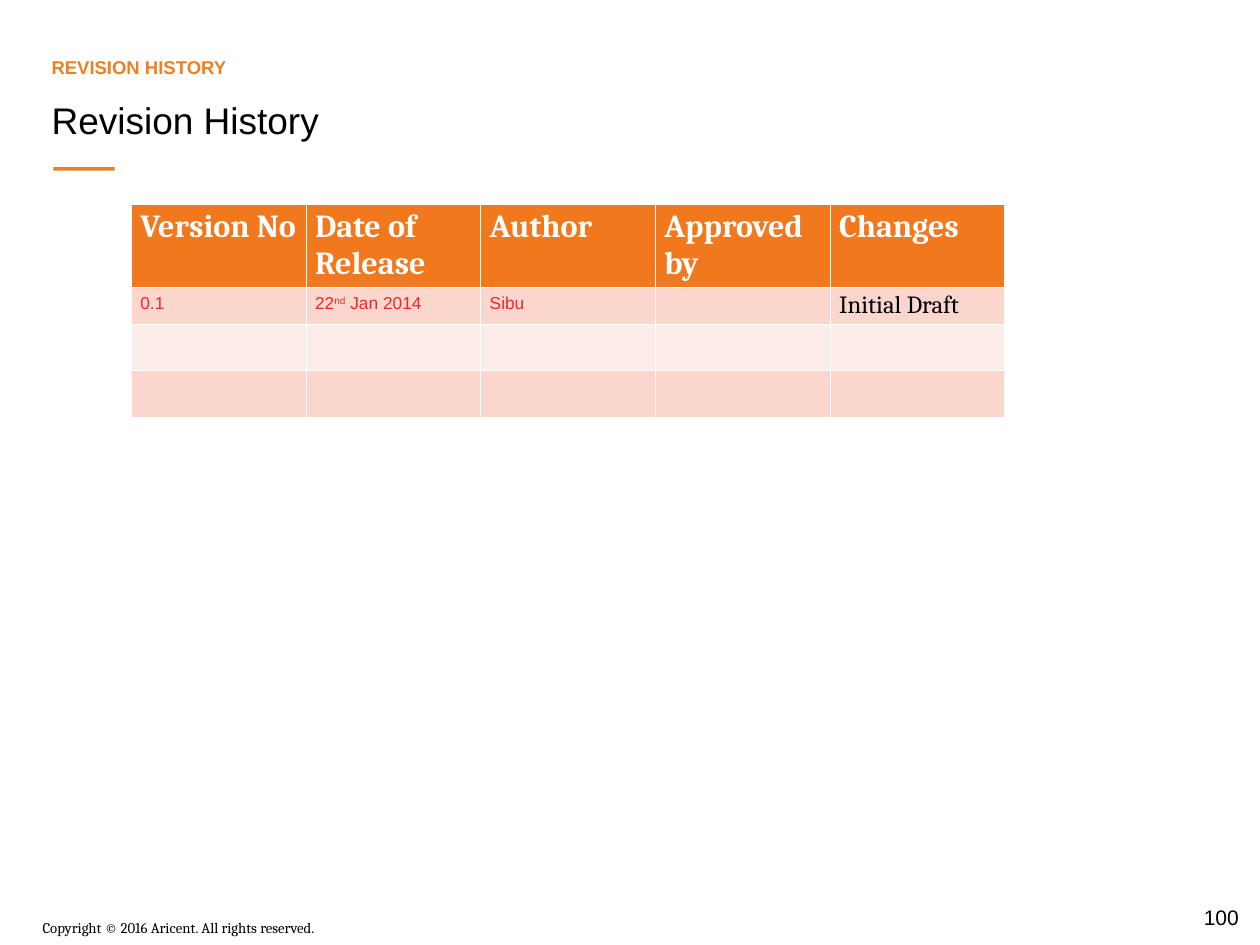
from pptx import Presentation
from pptx.dml.color import RGBColor
from pptx.enum.shapes import MSO_SHAPE
from pptx.enum.text import MSO_ANCHOR, MSO_AUTO_SIZE, PP_ALIGN
from pptx.oxml.ns import qn
from pptx.util import Inches, Pt

ORANGE = "EB8024"
HEADERS = ["Version No", "Date of Release", "Author", "Approved by", "Changes"]
ENTRY = ["0.1", "22^nd^ Jan 2014", "Sibu", "", "Initial Draft"]
ROW_HEIGHTS = [0.92, 0.41, 0.52, 0.52]
ROW_FILLS = ["F1781C", "FAD6CD", "FCECE8", "FAD6CD"]


def color(value):
    """Turn a hex string into a colour."""
    return RGBColor.from_string(value)


def write(frame, text, size, font="Arial", fill="000000", bold=False,
          align=PP_ALIGN.LEFT, line=1.0, after=0, plain=False):
    """Write one formatted paragraph; carets enclose superscript."""
    para = frame.paragraphs[0]
    if plain:
        properties = para._p.get_or_add_pPr()
        properties.set("marL", "0")
        properties.set("indent", "0")
        properties.append(properties.makeelement(qn("a:buNone"), {}))
    para.alignment = align
    para.line_spacing = line
    para.space_before = Pt(0)
    para.space_after = Pt(after)
    for position, part in enumerate(text.split("^")):
        span = para.add_run()
        span.text = part
        span.font.size = Pt(size)
        span.font.name = font
        span.font.bold = bold
        span.font.color.rgb = color(fill)
        if position % 2:
            span._r.get_or_add_rPr().set("baseline", "30000")


def place(holder, left, top, width, height, anchor, inset=0.05):
    """Move a placeholder and set up its text frame."""
    holder.left, holder.top = Inches(left), Inches(top)
    holder.width, holder.height = Inches(width), Inches(height)
    frame = holder.text_frame
    frame.word_wrap = True
    frame.auto_size = MSO_AUTO_SIZE.NONE
    frame.vertical_anchor = anchor
    frame.margin_top = Inches(inset)
    return frame


def add_heading(page, left, top, width):
    """Fill the kicker and title and draw the accent bar below them."""
    title, kicker = page.placeholders
    frame = place(kicker, left, top, width, 0.62, MSO_ANCHOR.BOTTOM)
    write(frame, "REVISION HISTORY", 15, fill=ORANGE, bold=True, plain=True)
    frame = place(title, left, top + 0.69, width, 0.85, MSO_ANCHOR.TOP, 0.1)
    write(frame, "Revision History", 30)
    bar = page.shapes.add_shape(MSO_SHAPE.RECTANGLE, Inches(left + 0.12),
                                Inches(top + 1.57), Inches(0.69), Inches(0.04))
    bar.shadow.inherit = False
    bar.fill.solid()
    bar.fill.fore_color.rgb = color(ORANGE)
    bar.line.fill.background()


def add_history(page, left, top, width):
    """Build the revision table."""
    table = page.shapes.add_table(
        len(ROW_HEIGHTS), len(HEADERS), Inches(left), Inches(top),
        Inches(width), Inches(sum(ROW_HEIGHTS))).table
    for row, height, fill in zip(table.rows, ROW_HEIGHTS, ROW_FILLS):
        row.height = Inches(height)
        for cell in row.cells:
            cell.fill.solid()
            cell.fill.fore_color.rgb = color(fill)
    for column, (header, entry) in enumerate(zip(HEADERS, ENTRY)):
        write(table.cell(0, column).text_frame, header, 26, "Cambria",
              "FFFFFF", bold=True)
        frame = table.cell(1, column).text_frame
        if header == "Changes":
            write(frame, entry, 20, "Cambria")
        elif entry:
            write(frame, entry, 14, fill="F1262C", line=1.1, after=8)


def add_label(page, text, left, top, width, height, **style):
    """Add a text box holding one line."""
    box = page.shapes.add_textbox(Inches(left), Inches(top),
                                  Inches(width), Inches(height))
    box.text_frame.word_wrap = True
    box.text_frame.vertical_anchor = MSO_ANCHOR.MIDDLE
    write(box.text_frame, text, **style)


def add_footer(page, left, top, width):
    """Add the copyright line and the page number."""
    add_label(page, "Copyright © 2016 Aricent. All rights reserved.",
              left, top + 0.16, 7.09, 0.3, size=12, font="Cambria")
    add_label(page, "100", left + width - 0.87, top, 0.87, 0.39,
              size=17, align=PP_ALIGN.CENTER)


def main():
    """Build and save the deck."""
    deck = Presentation()
    deck.slide_width, deck.slide_height = Inches(14.18), Inches(10.63)
    page = deck.slides.add_slide(deck.slide_layouts[1])
    add_heading(page, 0.48, 0.31, 11.13)
    add_history(page, 1.48, 2.3, 9.83)
    add_footer(page, 0.38, 10.12, 13.8)
    deck.save("out.pptx")


if __name__ == "__main__":
    main()
